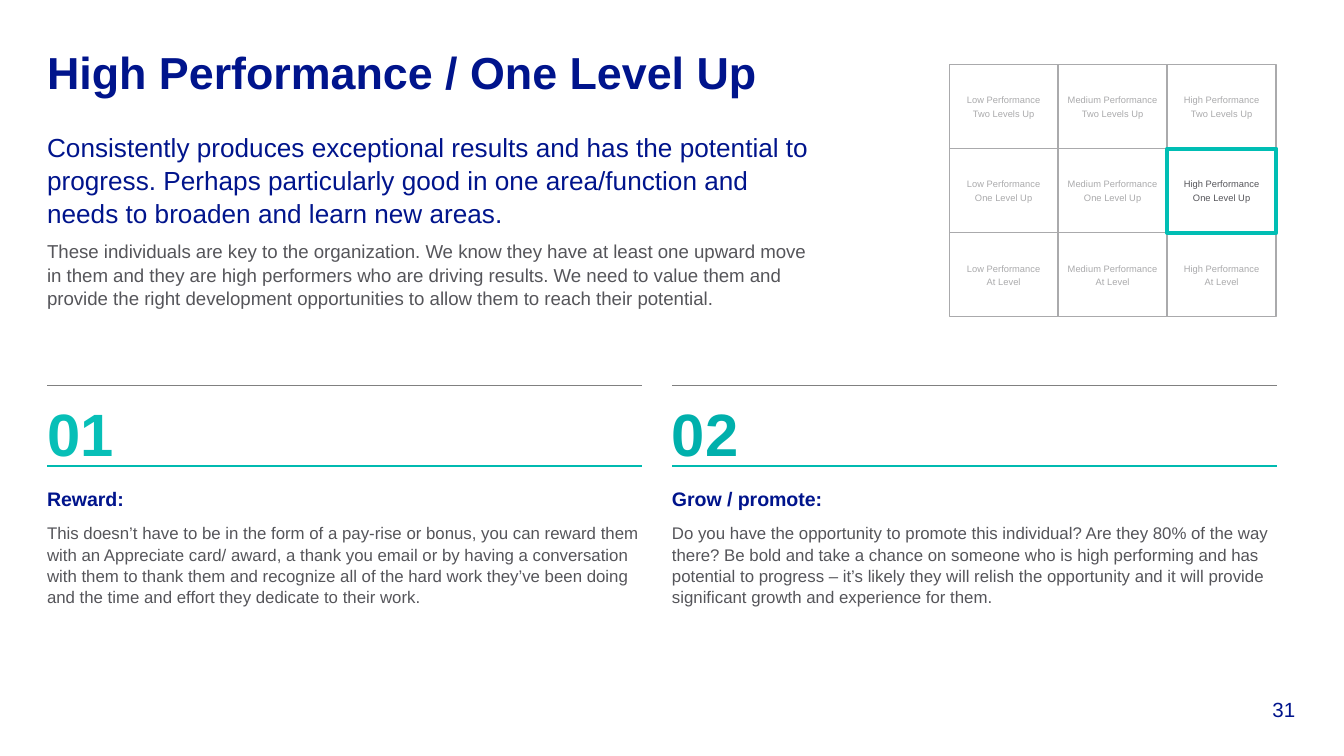
"""Build the High Performance / One Level Up talent slide."""
from lxml import etree
from pptx import Presentation
from pptx.dml.color import RGBColor
from pptx.enum.shapes import MSO_CONNECTOR, MSO_SHAPE
from pptx.enum.text import MSO_ANCHOR, MSO_AUTO_SIZE, PP_ALIGN
from pptx.oxml.ns import qn
from pptx.util import Cm, Pt

LEFT, MID, RIGHT = PP_ALIGN.LEFT, PP_ALIGN.CENTER, PP_ALIGN.RIGHT
TOP, CENTRE, BASE = MSO_ANCHOR.TOP, MSO_ANCHOR.MIDDLE, MSO_ANCHOR.BOTTOM
FIXED = MSO_AUTO_SIZE.NONE
RECT, LINE = MSO_SHAPE.RECTANGLE, MSO_CONNECTOR.STRAIGHT

TITLE = "High Performance / One Level Up"
LEAD = ("Consistently produces exceptional results and has the potential to progress. "
        "Perhaps particularly good in one area/function and needs to broaden and learn new areas.")
NOTE = ("These individuals are key to the organization. We know they have at least one upward move "
        "in them and they are high performers who are driving results. We need to value them and "
        "provide the right development opportunities to allow them to reach their potential.")
STEPS = [
    {"no": "01", "tint": "first", "x": 0.89, "rule": 11.25, "wide": 11.23, "head": "Reward:",
     "text": "This doesn’t have to be in the form of a pay-rise or bonus, you can reward them with an "
             "Appreciate card/ award, a thank you email or by having a conversation with them to thank "
             "them and recognize all of the hard work they’ve been doing and the time and effort they "
             "dedicate to their work."},
    {"no": "02", "tint": "second", "x": 12.7, "rule": 11.43, "wide": 12.12, "head": "Grow / promote:",
     "text": "Do you have the opportunity to promote this individual? Are they 80% of the way there? "
             "Be bold and take a chance on someone who is high performing and has potential to "
             "progress – it’s likely they will relish the opportunity and it will provide significant "
             "growth and experience for them."},
]
RANKS = ["Low Performance", "Medium Performance", "High Performance"]
LEVELS = ["Two Levels Up", "One Level Up", "At Level"]
FOCUS = ("High Performance", "One Level Up")
PAGE = "31"

THEME = {
    "font": "Arial",
    "space": 1.05,
    "colour": {"navy": "00148C", "text": "55555A", "pale": "AAAAAC", "grey": "808080",
               "rule": "00BAB0", "focus": "00BEB4", "first": "07BFB7", "second": "00B0AC"},
    "size": {"title": 24, "lead": 14, "note": 10, "no": 32, "head": 10.5,
             "text": 9, "cell": 5, "page": 11},
}
GRID = {"x": 17.94, "y": 1.22, "w": 2.06, "h": 1.59}


def tone(name):
    return RGBColor.from_string(THEME["colour"][name])


def put(obj, vals):
    for key, val in vals.items():
        setattr(obj, key, val)


def write(shape, rows, align=LEFT, anchor=TOP):
    frame = shape.text_frame
    put(frame, {"word_wrap": True, "auto_size": FIXED, "vertical_anchor": anchor,
                "margin_left": 0, "margin_right": 0, "margin_top": 0, "margin_bottom": 0})
    for i, (text, kind, tint, bold, after) in enumerate(rows):
        para = frame.add_paragraph() if i else frame.paragraphs[0]
        para.text = text
        put(para, {"alignment": align, "line_spacing": THEME["space"],
                   "space_before": Pt(0), "space_after": Pt(after)})
        put(para.font, {"name": THEME["font"], "size": Pt(THEME["size"][kind]), "bold": bold})
        para.font.color.rgb = tone(tint)


def place(shape, x, y, w, h):
    put(shape, {"left": Cm(x), "top": Cm(y), "width": Cm(w), "height": Cm(h)})


def label(slide, x, y, w, h, rows, **opts):
    write(slide.shapes.add_textbox(Cm(x), Cm(y), Cm(w), Cm(h)), rows, **opts)


def rule(slide, x, y, w, tint, width):
    line = slide.shapes.add_connector(LINE, Cm(x), Cm(y), Cm(x + w), Cm(y))
    line.line.color.rgb = tone(tint)
    line.line.width = Pt(width)
    etree.SubElement(line._element.spPr, qn("a:effectLst"))


def step(slide, item):
    x = item["x"]
    rule(slide, x, 7.29, item["rule"], "grey", 0.5)
    label(slide, x, 7.44, 4.29, 1.37, [(item["no"], "no", item["tint"], True, 0)])
    rule(slide, x, 8.81, item["rule"], "rule", 0.75)
    label(slide, x, 9.19, item["wide"], 2.21,
          [(item["head"], "head", "navy", True, 6), (item["text"], "text", "text", False, 6)])


def cell(slide, col, row):
    pair = RANKS[col], LEVELS[row]
    hot = pair == FOCUS
    x, y = GRID["x"] + col * GRID["w"], GRID["y"] + row * GRID["h"]
    box = slide.shapes.add_shape(RECT, Cm(x), Cm(y), Cm(GRID["w"]), Cm(GRID["h"]))
    box.shadow.inherit = False
    box.fill.background()
    box.line.color.rgb = tone("focus" if hot else "pale")
    box.line.width = Pt(2.25 if hot else 0.75)
    write(box, [(text, "cell", "text" if hot else "pale", False, 1) for text in pair], MID, CENTRE)


def main():
    deck = Presentation()
    put(deck, {"slide_width": Cm(25.4), "slide_height": Cm(14.29)})
    slide = deck.slides.add_slide(deck.slide_layouts[1])

    title, body = slide.shapes.title, slide.placeholders[1]
    place(title, 0.89, 0.74, 15.32, 1.19)
    write(title, [(TITLE, "title", "navy", True, 0)], anchor=CENTRE)
    place(body, 0.89, 2.46, 14.4, 1.8)
    props = body.text_frame.paragraphs[0]._p.get_or_add_pPr()
    props.set("marL", "0")
    props.set("indent", "0")
    etree.SubElement(props, qn("a:buNone"))
    write(body, [(LEAD, "lead", "navy", False, 12)])
    label(slide, 0.89, 4.52, 14.5, 1.27, [(NOTE, "note", "text", False, 12)])

    for item in STEPS:
        step(slide, item)
    spots = [(col, row) for row in range(len(LEVELS)) for col in range(len(RANKS))]
    for col, row in sorted(spots, key=lambda s: (RANKS[s[0]], LEVELS[s[1]]) == FOCUS):
        cell(slide, col, row)
    label(slide, 23.01, 13.16, 1.47, 0.48, [(PAGE, "page", "navy", False, 0)],
          align=RIGHT, anchor=BASE)
    deck.save("out.pptx")


if __name__ == "__main__":
    main()
